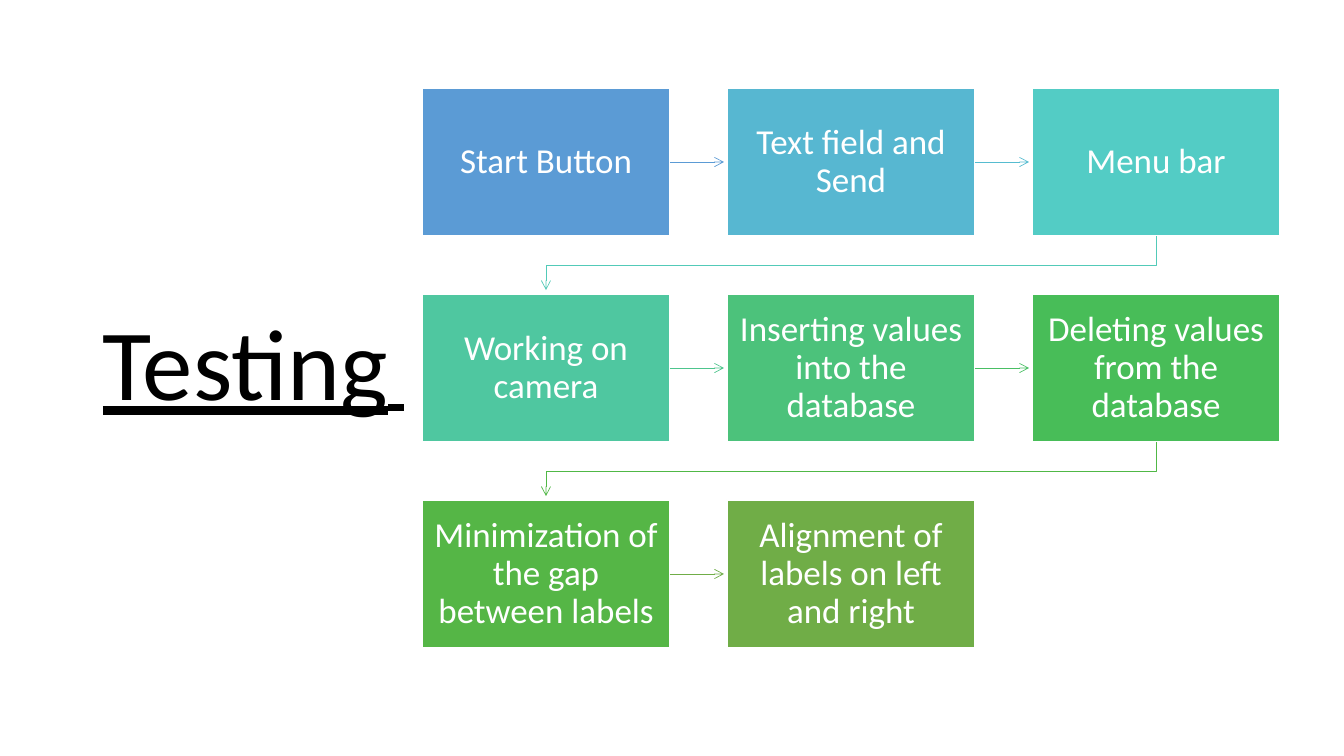
from dataclasses import dataclass

from lxml import etree
from pptx import Presentation
from pptx import util as u
from pptx.dml.color import RGBColor
from pptx.enum import shapes, text
from pptx.oxml import ns

PX = 914400 / 100.8  # EMU in one px


@dataclass(frozen=True)
class Theme:
    font: str = "Calibri"
    ink: str = "000000"
    white: str = "FFFFFF"
    title: int = 72
    space: int = 52
    body: int = 25
    edge: float = 1
    thin: float = 0.5


@dataclass(frozen=True)
class Step:
    label: str
    fill: str
    link: str = ""  # colour of the arrow to the next step


THEME = Theme()
STEPS = [
    Step("Start Button", "5B9BD5", "5B9BD5"),
    Step("Text field and Send", "57B7D1", "56BCD0"),
    Step("Menu bar", "53CCC5", "52CAB8"),
    Step("Working on camera", "4FC7A0", "4DC58D"),
    Step("Inserting values into the database", "4CC27B", "49BF64"),
    Step("Deleting values from the database", "48BD58", "50B846"),
    Step("Minimization of the gap between labels", "55B646", "70AD47"),
    Step("Alignment of labels on left and right", "70AD47"),
]

# Grid of steps, in px
COLS = 3
LEFT, TOP = 422, 88
WIDE, HIGH = 248, 148
STEP_X, STEP_Y = 305, 206
REACH = 54  # length of an arrow across a gap
BEND = 29  # drop before a row arrow turns


def px(n: int) -> int:
    return round(n * PX)


def rgb(code: str) -> RGBColor:
    return RGBColor.from_string(code)


def style(run, size: int, color: str) -> None:
    run.font.name = THEME.font
    run.font.size = u.Pt(size)
    run.font.color.rgb = rgb(color)


def add_box(slide, step: Step, x: int, y: int):
    box = slide.shapes.add_shape(
        shapes.MSO_SHAPE.RECTANGLE, px(x), px(y), px(WIDE), px(HIGH))
    box.shadow.inherit = False
    box.fill.solid()
    box.fill.fore_color.rgb = rgb(step.fill)
    box.line.color.rgb = rgb(THEME.white)
    box.line.width = u.Pt(THEME.edge)
    frame = box.text_frame
    frame.word_wrap = True
    frame.vertical_anchor = text.MSO_ANCHOR.MIDDLE
    frame.margin_left = frame.margin_right = px(12)
    frame.margin_top = frame.margin_bottom = px(13)
    frame.text = step.label
    para = frame.paragraphs[0]
    para.alignment = text.PP_ALIGN.CENTER
    para.line_spacing = 0.9
    style(para.runs[0], THEME.body, THEME.white)
    return box


def point(line, color: str) -> None:
    """Colour a line and give its end an open arrowhead."""
    line.color.rgb = rgb(color)
    line.width = u.Pt(THEME.thin)
    etree.SubElement(line._get_or_add_ln(), ns.qn("a:tailEnd"), type="arrow")


def add_arrow(slide, box, x: int, y: int, color: str) -> None:
    """Join a step to the one on its right."""
    start, mid = x + WIDE, y + HIGH // 2
    arrow = slide.shapes.add_connector(
        shapes.MSO_CONNECTOR.STRAIGHT, px(start), px(mid), px(start + REACH), px(mid))
    arrow.begin_connect(box, 3)
    point(arrow.line, color)
    etree.SubElement(arrow._element.spPr, ns.qn("a:effectLst"))


def add_turn(slide, x: int, y: int, color: str) -> None:
    """Lead from the last step of a row to the first of the next."""
    start, end = x + WIDE // 2, LEFT + WIDE // 2
    foot = y + HIGH
    pen = slide.shapes.build_freeform(start, foot, scale=PX)
    pen.add_line_segments(
        [(start, foot + BEND), (end, foot + BEND), (end, foot + REACH)], close=False)
    turn = pen.convert_to_shape()
    turn.shadow.inherit = False
    turn.fill.background()
    point(turn.line, color)


def add_title(slide) -> None:
    frame = slide.shapes.add_textbox(px(93), px(61), px(372), px(614)).text_frame
    frame.word_wrap = True
    frame.vertical_anchor = text.MSO_ANCHOR.MIDDLE
    para = frame.paragraphs[0]
    para.line_spacing = 0.9
    for word, size in (("Testing", THEME.title), (" ", THEME.space)):
        run = para.add_run()
        run.text = word
        style(run, size, THEME.ink)
        run.font.underline = True


def main() -> None:
    deck = Presentation()
    deck.slide_width, deck.slide_height = px(1344), px(756)
    slide = deck.slides.add_slide(deck.slide_layouts[6])

    # Title
    add_title(slide)

    # Steps and the arrows between them
    for i, step in enumerate(STEPS):
        row, col = divmod(i, COLS)
        x, y = LEFT + col * STEP_X, TOP + row * STEP_Y
        box = add_box(slide, step, x, y)
        if not step.link:
            continue
        if col < COLS - 1:
            add_arrow(slide, box, x, y, step.link)
        else:
            add_turn(slide, x, y, step.link)

    deck.save("out.pptx")


if __name__ == "__main__":
    main()
